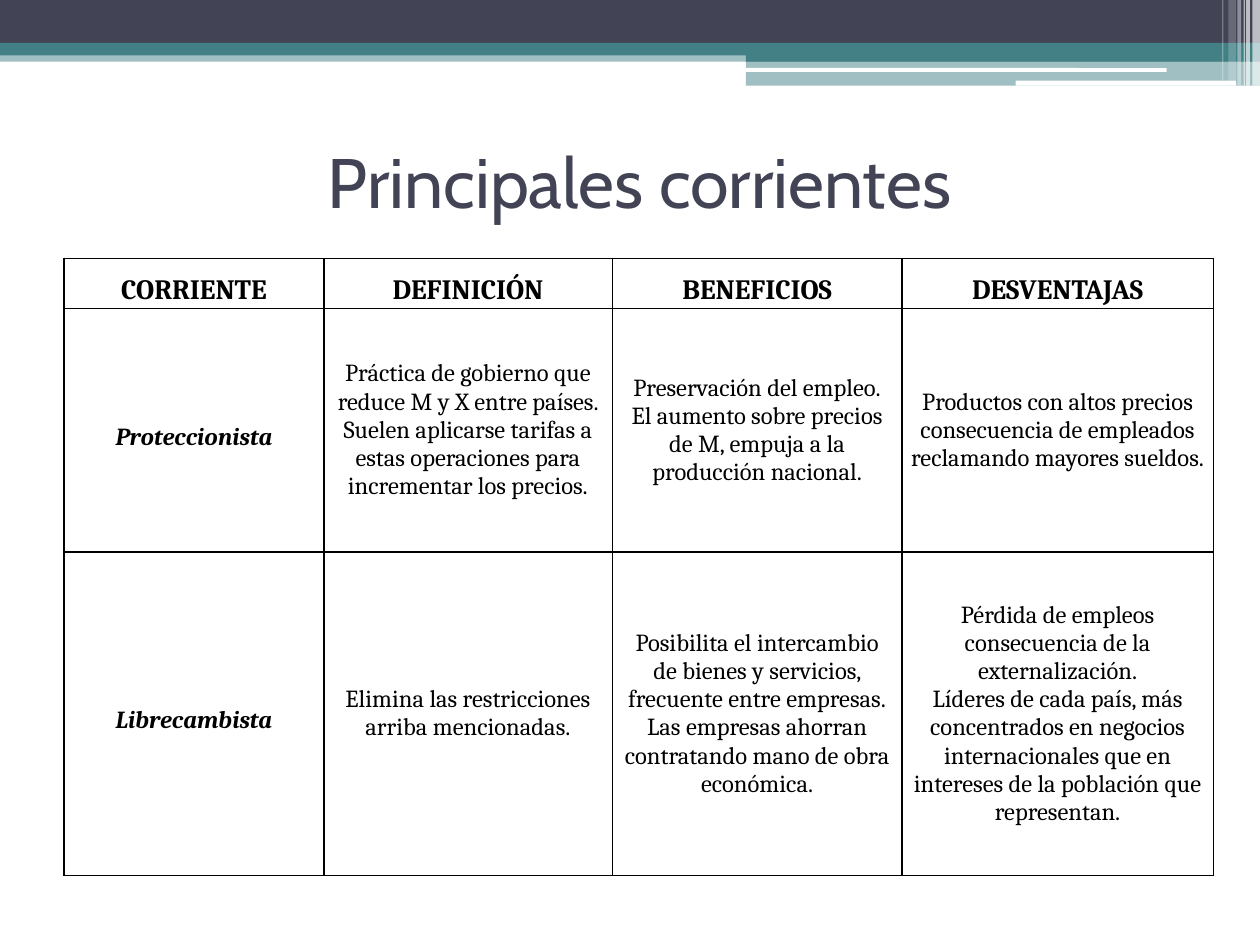
from lxml.etree import SubElement
from pptx import Presentation
from pptx.dml.color import RGBColor
from pptx.enum.shapes import MSO_SHAPE
from pptx.enum.text import MSO_ANCHOR, PP_ALIGN
from pptx.oxml import parse_xml
from pptx.oxml.ns import nsdecls, qn
from pptx.util import Inches, Pt

SLIDE_WIDTH, SLIDE_HEIGHT = Inches(10), Inches(7.5)
GRID_UNIT = SLIDE_WIDTH // 100
NAVY, TEAL, WHITE, BLACK = "424456", "438086", "FFFFFF", "000000"

BANDS = [
    (0, 4, 100, 0.9, TEAL, 50),
    (0, 0, 100, 3.4, NAVY, 100),
    (0, 3.4, 100, 1, TEAL, 100),
    (59.2, 3.9, 40.8, 1, TEAL, 100),
    (59.2, 4.8, 40.8, 2, TEAL, 50),
]
HIGHLIGHTS = [(59.1, 5.4, 33.5, 0.3), (80.6, 6.4, 17.5, 0.4)]
STRIPES = [
    (99.4, 0.6, 6.8, 65),
    (98.9, 0.3, 6.8, 65),
    (98.7, 0.1, 6.8, 60),
    (98.2, 0.3, 6.8, 40),
    (97.5, 0.6, 6.4, 20),
    (97, 0.1, 6.4, 30),
]
COLUMN_WIDTHS = [20.6, 22.9, 23, 24.7]
ROW_HEIGHTS = [3.6, 19.3, 25.7]
HEADINGS = ["CORRIENTE", "DEFINICIÓN", "BENEFICIOS", "DESVENTAJAS"]
CURRENTS = [
    (
        "Proteccionista",
        ["Práctica de gobierno que reduce M y X entre países. Suelen aplicarse "
         "tarifas a estas operaciones para incrementar los precios."],
        ["Preservación del empleo.",
         "El aumento sobre precios de M, empuja a la producción nacional."],
        ["Productos con altos precios consecuencia de empleados reclamando "
         "mayores sueldos."],
    ),
    (
        "Librecambista",
        ["Elimina las restricciones arriba mencionadas."],
        ["Posibilita el intercambio de bienes y servicios, frecuente entre empresas.",
         "Las empresas ahorran contratando mano de obra económica."],
        ["Pérdida de empleos consecuencia de la externalización.",
         "Líderes de cada país, más concentrados en negocios internacionales "
         "que en intereses de la población que representan."],
    ),
]


def grid(*units):
    """Turn grid units, each a hundredth of the slide's width, into lengths."""
    return [round(unit * GRID_UNIT) for unit in units]


def color(hex_string):
    """Return the colour for a hex string."""
    return RGBColor.from_string(hex_string)


def add_block(slide, box, fill, opacity=100, kind=MSO_SHAPE.RECTANGLE):
    """Add a plain filled shape without outline, opacity in percent."""
    shape = slide.shapes.add_shape(kind, *grid(*box))
    shape.shadow.inherit = False
    shape.line.fill.background()
    shape.fill.solid()
    shape.fill.fore_color.rgb = color(fill)
    if opacity < 100:
        fill_color = shape.element.spPr.find(".//" + qn("a:srgbClr"))
        SubElement(fill_color, qn("a:alpha"), val=str(opacity * 1000))


def write_paragraphs(frame, texts, size, font, fill, bold=False, italic=False, spacing=1):
    """Write centred paragraphs of one run each into a text frame."""
    frame.word_wrap = True
    for index, text in enumerate(texts):
        paragraph = frame.add_paragraph() if index else frame.paragraphs[0]
        paragraph.alignment = PP_ALIGN.CENTER
        paragraph.line_spacing = float(spacing)
        run = paragraph.add_run()
        run.text = text
        run.font.name = font
        run.font.size = Pt(size)
        run.font.bold = bold
        run.font.italic = italic
        run.font.color.rgb = color(fill)


def add_title(slide, text):
    """Add the slide's title."""
    box = slide.shapes.add_textbox(*grid(5.1, 8.5, 91.3, 11.7))
    box.text_frame.vertical_anchor = MSO_ANCHOR.MIDDLE
    write_paragraphs(box.text_frame, [text], 40, "Cabin", NAVY)


def format_cell(cell, anchor):
    """Give a cell its margins, anchor, black borders and no fill."""
    cell.margin_left = cell.margin_right = Inches(0.07)
    cell.margin_top = cell.margin_bottom = 0
    cell.vertical_anchor = anchor
    properties = cell._tc.get_or_add_tcPr()
    for side in "LRTB":
        properties.append(parse_xml(
            f'<a:ln{side} {nsdecls("a")} w="{Pt(1)}"><a:solidFill>'
            f'<a:srgbClr val="{BLACK}"/></a:solidFill></a:ln{side}>'
        ))
    cell.fill.background()


def add_currents_table(slide):
    """Add the table that compares the currents."""
    frame = slide.shapes.add_table(
        len(ROW_HEIGHTS), len(COLUMN_WIDTHS),
        *grid(5.1, 20.5, sum(COLUMN_WIDTHS), sum(ROW_HEIGHTS)))
    table = frame.table
    table.first_row = table.horz_banding = False
    for column, width in zip(table.columns, grid(*COLUMN_WIDTHS)):
        column.width = width
    for row, height in zip(table.rows, grid(*ROW_HEIGHTS)):
        row.height = height
    for cell, heading in zip(table.rows[0].cells, HEADINGS):
        format_cell(cell, MSO_ANCHOR.TOP)
        write_paragraphs(cell.text_frame, [heading], 16, "Cambria", BLACK,
                         bold=True, spacing=1.5)
    for row_index, (name, *details) in enumerate(CURRENTS, 1):
        for column_index, texts in enumerate([[name], *details]):
            cell = table.cell(row_index, column_index)
            is_name = column_index == 0
            format_cell(cell, MSO_ANCHOR.MIDDLE)
            write_paragraphs(cell.text_frame, texts, 14, "Cambria", BLACK,
                             is_name, is_name, 1.5 if is_name else 1)


def add_header(slide):
    """Add the bands, highlights and stripes along the top edge."""
    for *box, fill, opacity in BANDS:
        add_block(slide, box, fill, opacity)
    for box in HIGHLIGHTS:
        add_block(slide, box, WHITE, kind=MSO_SHAPE.ROUNDED_RECTANGLE)
    for left, width, height, opacity in STRIPES:
        add_block(slide, (left, 0, width, height), WHITE, opacity)


def main():
    """Build and save the presentation."""
    presentation = Presentation()
    presentation.slide_width = SLIDE_WIDTH
    presentation.slide_height = SLIDE_HEIGHT
    slide = presentation.slides.add_slide(presentation.slide_layouts[6])
    add_header(slide)
    add_title(slide, "Principales corrientes")
    add_currents_table(slide)
    presentation.save("out.pptx")


if __name__ == "__main__":
    main()
